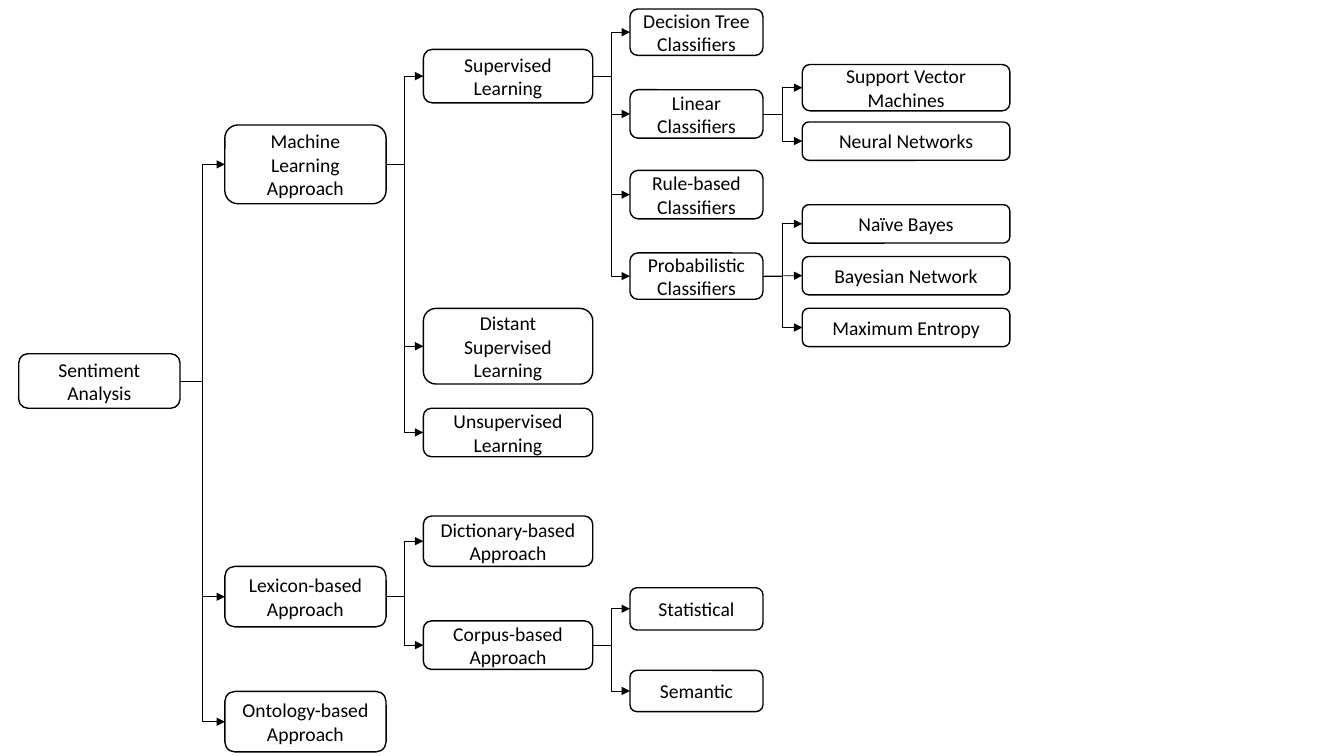
import pptx
import pptx.util
import pptx.dml.color
import pptx.enum.shapes
import pptx.enum.text
import pptx.oxml.ns
from lxml import etree

Pt = pptx.util.Pt
BLACK = pptx.dml.color.RGBColor(0, 0, 0)
LEFT_SITE, RIGHT_SITE = 1, 3

COLUMNS = [(0, 115.2), (147.2, 115.2), (289, 121), (436.6, 95), (559.7, 148.3)]

LINEAR = [
    ("Support Vector Machines", 39.6, 33.1, []),
    ("Neural Networks", 80.6, 27.4, []),
]
PROBABLE = [
    (label, 139.7 + 37 * row, 27.4, [])
    for row, label in enumerate(["Naïve Bayes", "Bayesian Network", "Maximum Entropy"])
]
SUPERVISED = [
    ("Decision Tree Classifiers", 0, 33.1, []),
    ("Linear Classifiers", 57.6, 34.6, LINEAR),
    ("Rule-based Classifiers", 115.2, 34.6, []),
    ("Probabilistic Classifiers", 174.2, 33.1, PROBABLE),
]
MACHINE = [
    ("Supervised Learning", 28.8, 38.2, SUPERVISED),
    ("Distant Supervised Learning", 213.8, 54, []),
    ("Unsupervised Learning", 285.1, 34.6, []),
]
CORPUS = [
    ("Statistical", 413.3, 30.2, []),
    ("Semantic", 472.3, 29.5, []),
]
LEXICON = [
    ("Dictionary-based Approach", 362.1, 36, []),
    ("Corpus-based\nApproach", 437, 34.6, CORPUS),
]
TREE = ("Sentiment Analysis", 246.2, 38.9, [
    ("Machine Learning Approach", 82.8, 56.2, MACHINE),
    ("Lexicon-based Approach", 398.1, 43.2, LEXICON),
    ("Ontology-based Approach", 487.4, 43.2, []),
])


def add_box(slide, label, left, top, width, height):
    """Draw one outlined, rounded box with a centred label."""
    box = slide.shapes.add_shape(
        pptx.enum.shapes.MSO_SHAPE.ROUNDED_RECTANGLE,
        Pt(left), Pt(top), Pt(width), Pt(height))
    box.shadow.inherit = False
    box.fill.background()
    box.line.color.rgb = BLACK
    box.line.width = Pt(1)
    frame = box.text_frame
    frame.word_wrap = True
    frame.vertical_anchor = pptx.enum.text.MSO_ANCHOR.MIDDLE
    frame.text = label
    for line in frame.paragraphs:
        line.alignment = pptx.enum.text.PP_ALIGN.CENTER
        line.font.name = "Calibri"
        line.font.size = Pt(14)
        line.font.color.rgb = BLACK
    return box


def add_arrow(slide, parent, child):
    """Link two boxes by an arrow, straight if they are level."""
    kinds = pptx.enum.shapes.MSO_CONNECTOR
    rise = child.top + child.height / 2 - parent.top - parent.height / 2
    kind = kinds.STRAIGHT if abs(rise) < Pt(1) else kinds.ELBOW
    arrow = slide.shapes.add_connector(kind, 0, 0, 0, 0)
    arrow.begin_connect(parent, RIGHT_SITE)
    arrow.end_connect(child, LEFT_SITE)
    arrow.line.color.rgb = BLACK
    arrow.line.width = Pt(0.5)
    qn = pptx.oxml.ns.qn
    etree.SubElement(arrow.line._get_or_add_ln(), qn("a:tailEnd"), type="triangle")
    etree.SubElement(arrow._element.spPr, qn("a:effectLst"))


def add_tree(slide, left, top, node, depth=0):
    """Draw a node and its branches from the given corner; return its box."""
    label, drop, height, branches = node
    shift, width = COLUMNS[depth]
    box = add_box(slide, label, left + shift, top + drop, width, height)
    for branch in branches:
        child = add_tree(slide, left, top, branch, depth + 1)
        add_arrow(slide, box, child)
    return box


def main():
    """Build the slide and save it."""
    deck = pptx.Presentation()
    deck.slide_width, deck.slide_height = Pt(960), Pt(540)
    slide = deck.slides.add_slide(deck.slide_layouts[6])
    add_tree(slide, 13.4, 6.5, TREE)
    deck.save("out.pptx")


main()
